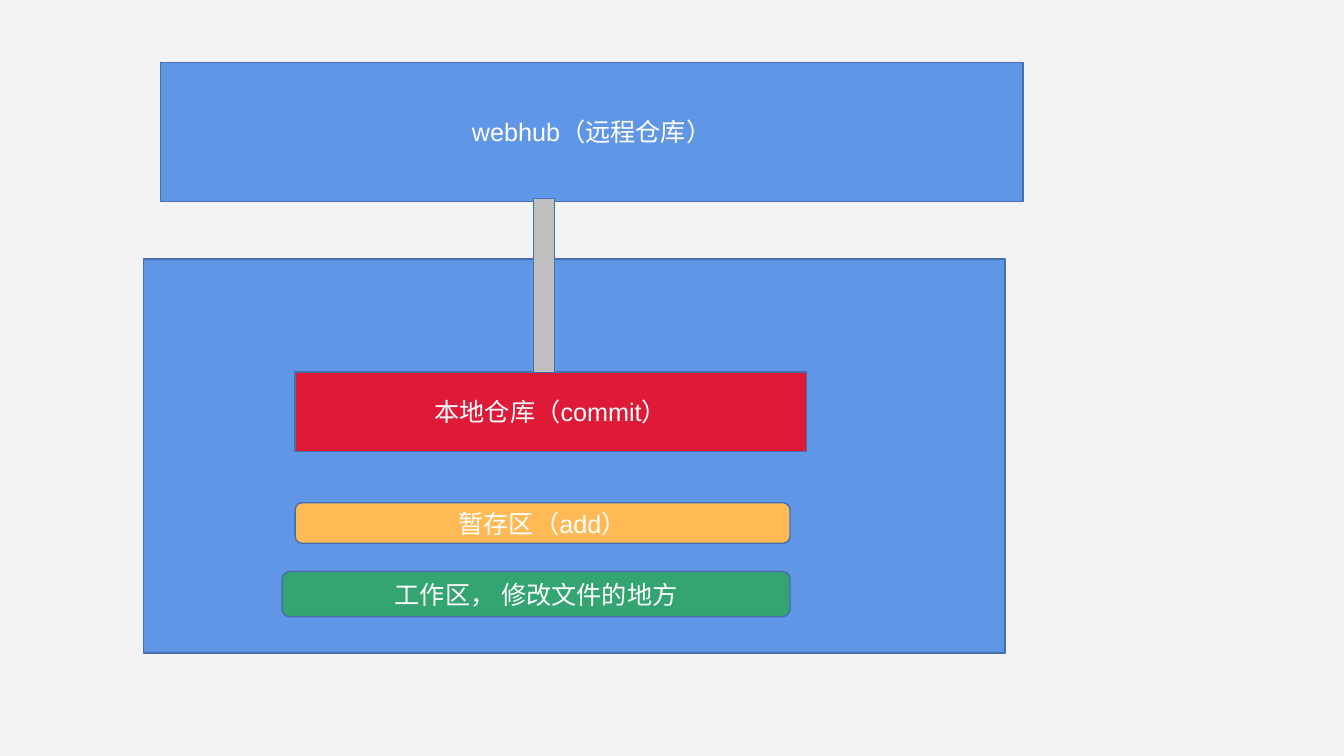
import dataclasses

import lxml.etree
import pptx
import pptx.dml.color
import pptx.enum.shapes
import pptx.enum.text
import pptx.oxml.ns
import pptx.util

Cm, Pt = pptx.util.Cm, pptx.util.Pt
SHAPE = pptx.enum.shapes.MSO_SHAPE
qn = pptx.oxml.ns.qn


@dataclasses.dataclass(frozen=True)
class Theme:
    background: str = "F2F2F2"
    blue: str = "6096E6"
    green: str = "34A471"
    orange: str = "FFBA55"
    red: str = "DE1A37"
    grey: str = "BFBFBF"
    outline: str = "476FAA"
    text: str = "FFFFFF"
    font: str = "Arial"
    size: float = 18
    outline_width: float = 1
    arrow_width: float = 0.5


def rgb(value):
    return pptx.dml.color.RGBColor.from_string(value)


class Canvas:
    """Holds the style and the current slide."""

    def __init__(self, s, theme):
        self.s, self.theme = s, theme
        fill = s.background.fill
        fill.solid()
        fill.fore_color.rgb = rgb(theme.background)

    def box(self, left, top, width, height, color, text="", kind=SHAPE.RECTANGLE):
        t = self.theme
        sp = self.s.shapes.add_shape(kind, Cm(left), Cm(top), Cm(width), Cm(height))
        sp.shadow.inherit = False
        sp.fill.solid()
        sp.fill.fore_color.rgb = rgb(color)
        sp.line.color.rgb = rgb(t.outline)
        sp.line.width = Pt(t.outline_width)
        if text:
            self.label(sp.text_frame, text)

    def label(self, tf, text):
        t = self.theme
        tf.word_wrap = True
        tf.vertical_anchor = pptx.enum.text.MSO_ANCHOR.MIDDLE
        p = tf.paragraphs[0]
        p.alignment = pptx.enum.text.PP_ALIGN.CENTER
        r = p.add_run()
        r.text = text
        r.font.name = t.font
        r.font.size = Pt(t.size)
        r.font.color.rgb = rgb(t.text)

    def arrow(self, x1, y1, x2, y2, color):
        cx = self.s.shapes.add_connector(
            pptx.enum.shapes.MSO_CONNECTOR.STRAIGHT, Cm(x1), Cm(y1), Cm(x2), Cm(y2))
        cx.line.color.rgb = rgb(color)
        cx.line.width = Pt(self.theme.arrow_width)
        lxml.etree.SubElement(cx.line._get_or_add_ln(), qn("a:tailEnd"), type="arrow")
        lxml.etree.SubElement(cx._element.spPr, qn("a:effectLst"))


theme = Theme()
prs = pptx.Presentation()
prs.slide_width, prs.slide_height = Cm(33.87), Cm(19.05)
c = Canvas(prs.slides.add_slide(prs.slide_layouts[6]), theme)

# Local machine and remote repository
c.box(3.61, 6.53, 21.72, 9.93, theme.blue)
c.box(4.04, 1.57, 21.74, 3.51, theme.blue, "webhub（远程仓库）")

# Working area feeds the staging area
c.box(7.11, 14.4, 12.8, 1.14, theme.green, "工作区， 修改文件的地方", SHAPE.ROUNDED_RECTANGLE)
c.box(7.44, 12.67, 12.47, 1.02, theme.orange, "暂存区（add）", SHAPE.ROUNDED_RECTANGLE)
c.arrow(13.51, 14.4, 13.69, 13.69, theme.blue)

# Local repository and its link to the remote
c.box(7.44, 9.37, 12.88, 2.01, theme.red, "本地仓库（commit）")
c.box(13.44, 5, 0.53, 4.39, theme.grey)

prs.save("out.pptx")
